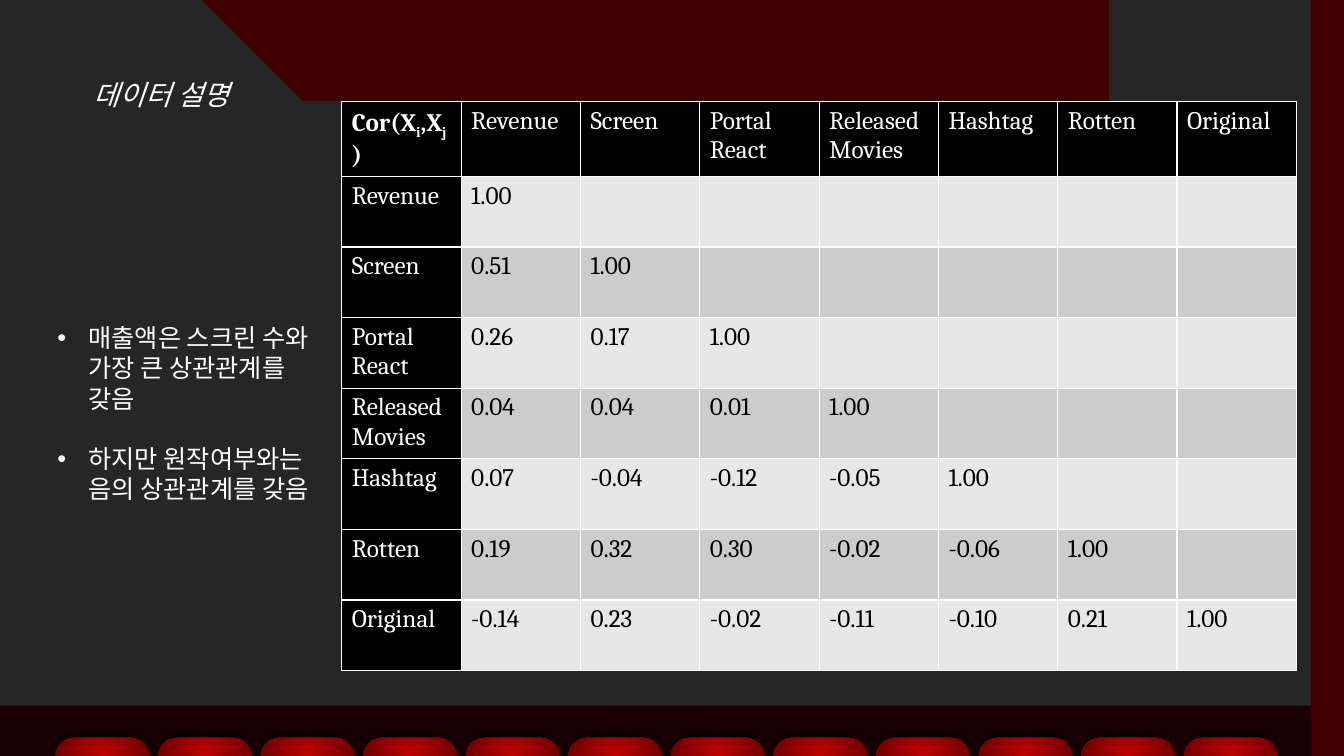
from dataclasses import dataclass

from lxml import etree
from pptx import Presentation
from pptx.dml.color import RGBColor
from pptx.enum.shapes import MSO_SHAPE as Preset
from pptx.enum.text import MSO_ANCHOR as Anchor
from pptx.oxml import parse_xml
from pptx.oxml.ns import nsdecls, qn
from pptx.util import Inches, Pt


@dataclass(frozen=True)
class Theme:
    wall: str = "3E0000"
    screen: str = "262626"
    black: str = "000000"
    white: str = "FFFFFF"
    seat_light: str = "C00000"
    seat_dark: str = "6C0000"
    bands: tuple = ("E7E7E7", "CCCCCC")
    korean: str = "Noto Sans CJK KR"
    latin: str = "Cambria"
    title_size: int = 20
    body_size: int = 18


THEME = Theme()

TITLE = "데이터 설명"
FINDINGS = ["매출액은 스크린 수와 가장 큰 상관관계를 갖음",
            "하지만 원작여부와는 음의 상관관계를 갖음"]
VARIABLES = ["Revenue", "Screen", "Portal\nReact", "Released\vMovies",
             "Hashtag", "Rotten", "Original"]
CORRELATIONS = [
    ["1.00"],
    ["0.51", "1.00"],
    ["0.26", "0.17", "1.00"],
    ["0.04", "0.04", "0.01", "1.00"],
    ["0.07", "-0.04", "-0.12", "-0.05", "1.00"],
    ["0.19", "0.32", "0.30", "-0.02", "-0.06", "1.00"],
    ["-0.14", "0.23", "-0.02", "-0.11", "-0.10", "0.21", "1.00"],
]


def style_run(run, size, font, color, bold=False, italic=False):
    run.font.size = Pt(size)
    run.font.name = font
    run.font.color.rgb = RGBColor.from_string(color)
    run.font.bold = bold
    run.font.italic = italic
    east_asian = etree.SubElement(run._r.get_or_add_rPr(), qn("a:ea"))
    east_asian.set("typeface", font)


# Curved outlines
def bowed_edge(width, corner, start, control_1, control_2, middle_y, steps=20):
    """Left-to-right edge, symmetric about its middle, from one cubic curve."""
    curve = (start, control_1, control_2, (width / 2, middle_y))
    left_half = [corner]
    for step in range(steps + 1):
        t = step / steps
        weights = ((1 - t) ** 3, 3 * t * (1 - t) ** 2, 3 * t * t * (1 - t), t ** 3)
        left_half.append(tuple(sum(weight * point[axis] for weight, point in zip(weights, curve))
                               for axis in (0, 1)))
    return left_half + [(width - x, y) for x, y in reversed(left_half[:-1])]


def add_outline(page, left, top, points, color):
    points = [(left + x, top + y) for x, y in points]
    builder = page.shapes.build_freeform(*points[0], scale=Inches(1))
    builder.add_line_segments(points[1:], close=True)
    shape = builder.convert_to_shape()
    shape.shadow.inherit = False
    shape.fill.solid()
    shape.fill.fore_color.rgb = RGBColor.from_string(color)
    shape.line.fill.background()
    return shape


def add_floor(page, left, top, width, height):
    edge = bowed_edge(width, (0, 0.23), (0.25, 0.21), (2.09, 0.08), (4.26, 0), 0)
    floor = add_outline(page, left, top, edge + [(width, height), (0, height)], THEME.black)
    color = floor._element.spPr.find(qn("a:solidFill"))[0]
    etree.SubElement(color, qn("a:alpha")).set("val", "59000")


def add_screen(page, left, top, width, height):
    edge = bowed_edge(width, (0, 0), (0.37, 0.03), (2.22, 0.14), (4.33, 0.21), 0.21)
    lower = [(x, height - y) for x, y in reversed(edge)]
    add_outline(page, left, top, edge + lower, THEME.screen)


# Row of seats
def add_seats(page, left, top, width, height, count=12, seat_width=0.93):
    pitch = (width - seat_width) / (count - 1)
    for index in range(count):
        seat = page.shapes.add_shape(
            Preset.ROUND_2_SAME_RECTANGLE, Inches(left + index * pitch), Inches(top),
            Inches(seat_width), Inches(height))
        seat.adjustments[0] = 0.5
        seat.line.fill.background()
        properties = seat._element.spPr
        properties.insert(2, parse_xml(
            f'<a:gradFill {nsdecls("a")} rotWithShape="1"><a:gsLst>'
            f'<a:gs pos="0"><a:srgbClr val="{THEME.seat_light}"/></a:gs>'
            f'<a:gs pos="100000"><a:srgbClr val="{THEME.seat_dark}"/></a:gs></a:gsLst>'
            '<a:path path="circle"><a:fillToRect l="50000" t="50000" r="50000" b="50000"/>'
            '</a:path></a:gradFill>'))
        properties.append(parse_xml(
            f'<a:effectLst {nsdecls("a")}><a:outerShdw blurRad="{Pt(4)}" dist="{Pt(3)}" '
            f'dir="16200000" rotWithShape="0"><a:srgbClr val="{THEME.black}">'
            '<a:alpha val="40000"/></a:srgbClr></a:outerShdw></a:effectLst>'))


# Text
def add_text(page, left, top, width, height, lines, size, italic=False, bullets=False):
    box = page.shapes.add_textbox(Inches(left), Inches(top), Inches(width), Inches(height))
    frame = box.text_frame
    frame.word_wrap = True
    frame.text = "\n".join(lines)
    for index, para in enumerate(frame.paragraphs):
        para.line_spacing = Pt(size * 1.2)
        if index:
            para.space_before = Pt(size * 1.2)
        style_run(para.runs[0], size, THEME.korean, THEME.white, italic=italic)
        if bullets:
            properties = para._p.get_or_add_pPr()
            properties.set("marL", str(Inches(0.31)))
            properties.set("indent", str(-Inches(0.31)))
            etree.SubElement(properties, qn("a:buFont")).set("typeface", "Arial")
            etree.SubElement(properties, qn("a:buChar")).set("char", "•")


# Correlation table
def style_cell(cell, fill):
    properties = cell._tc.get_or_add_tcPr()
    for side in ("lnL", "lnR", "lnT", "lnB"):
        properties.append(parse_xml(
            f'<a:{side} {nsdecls("a")} w="{Pt(1)}"><a:solidFill>'
            f'<a:srgbClr val="{THEME.white}"/></a:solidFill></a:{side}>'))
    cell.fill.solid()
    cell.fill.fore_color.rgb = RGBColor.from_string(fill)


def fill_corner(cell):
    cell.vertical_anchor = Anchor.MIDDLE
    para = cell.text_frame.paragraphs[0]
    for text, subscript in (("Cor(X", False), ("i", True), (",X", False), ("j", True), (")", False)):
        run = para.add_run()
        run.text = text
        style_run(run, THEME.body_size, THEME.latin, THEME.white, bold=True)
        if subscript:
            run._r.get_or_add_rPr().set("baseline", "-25000")


def add_correlation_table(page, left, top, width, height):
    rows = [[""] + VARIABLES]
    rows += [[name] + values for name, values in zip(VARIABLES, CORRELATIONS)]
    count = len(rows)
    table = page.shapes.add_table(count, count, Inches(left), Inches(top),
                                  Inches(width), Inches(height)).table
    for row_index, row in enumerate(rows):
        for column_index in range(count):
            cell = table.cell(row_index, column_index)
            is_header = row_index == 0 or column_index == 0
            style_cell(cell, THEME.black if is_header else THEME.bands[(row_index - 1) % 2])
            if column_index >= len(row):
                continue
            cell.text_frame.text = row[column_index]
            for para in cell.text_frame.paragraphs:
                for run in para.runs:
                    style_run(run, THEME.body_size, THEME.latin,
                              THEME.white if is_header else THEME.black)
    fill_corner(table.cell(0, 0))


def build_data_page(deck):
    page = deck.slides.add_slide(deck.slide_layouts[6])
    page.background.fill.solid()
    page.background.fill.fore_color.rgb = RGBColor.from_string(THEME.wall)
    add_floor(page, 0, 6.5, 13.33, 1)
    add_screen(page, 0.09, 0.37, 13.16, 6.63)
    add_seats(page, 0.55, 7.32, 12.12, 0.37)
    add_text(page, 0.83, 0.72, 5.41, 0.44, [TITLE], THEME.title_size, italic=True)
    add_text(page, 0.47, 3.15, 2.96, 1.92, FINDINGS, THEME.body_size, bullets=True)
    add_correlation_table(page, 3.39, 1.01, 9.47, 5.6)


def main():
    deck = Presentation()
    deck.slide_width, deck.slide_height = Inches(13.33), Inches(7.5)
    build_data_page(deck)
    deck.save("out.pptx")


if __name__ == "__main__":
    main()
